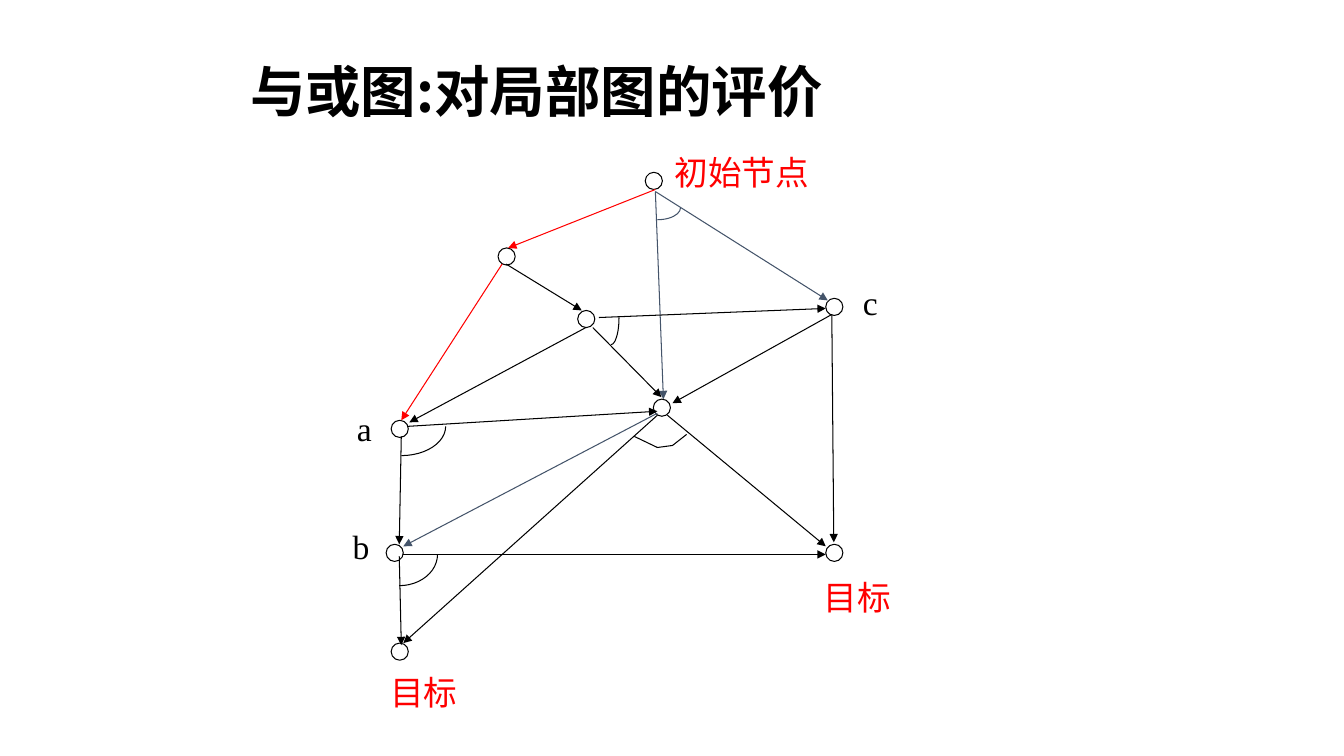
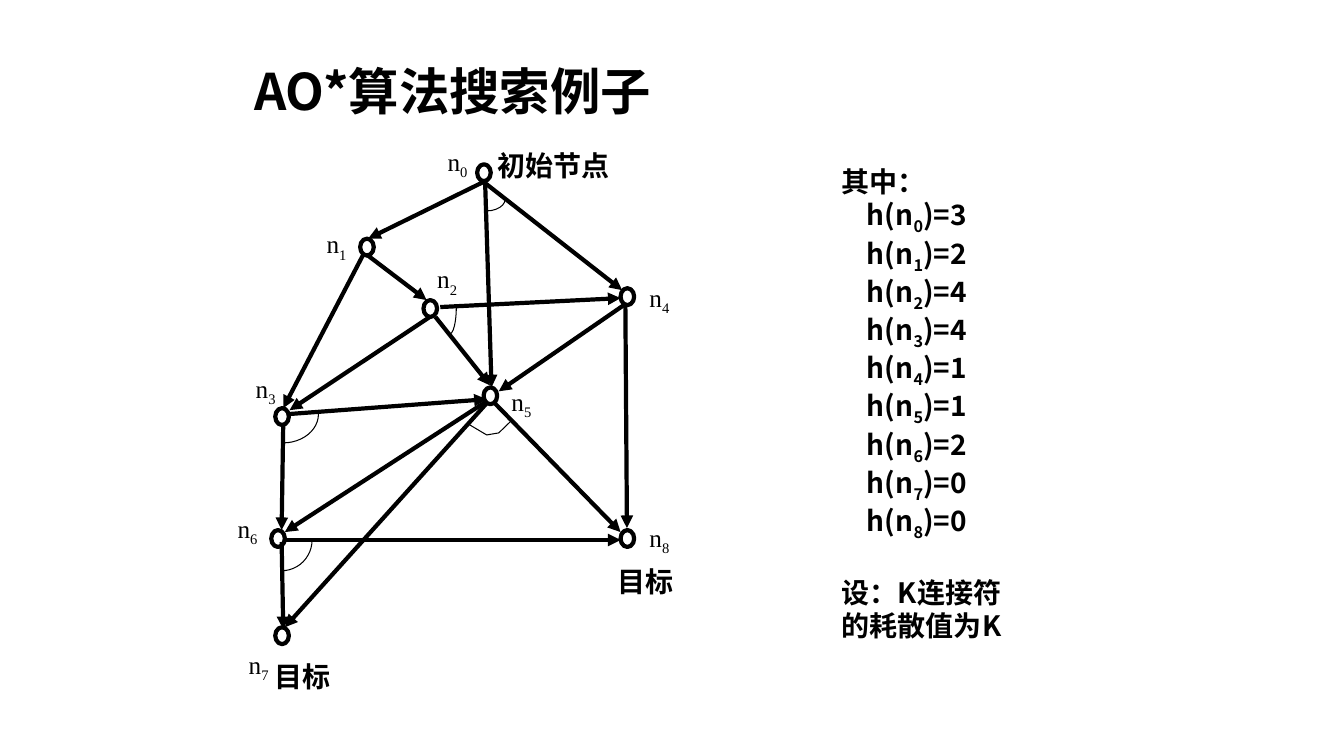
from dataclasses import dataclass

from lxml import etree
from pptx import Presentation
from pptx.dml.color import RGBColor
from pptx.enum.shapes import MSO_CONNECTOR, MSO_SHAPE
from pptx.enum.text import MSO_ANCHOR, MSO_AUTO_SIZE, PP_ALIGN
from pptx.oxml.ns import qn
from pptx.util import Inches, Pt

LEFT, CENTER = PP_ALIGN.LEFT, PP_ALIGN.CENTER
TOP, MIDDLE = MSO_ANCHOR.TOP, MSO_ANCHOR.MIDDLE
OVAL, ARC = MSO_SHAPE.OVAL, MSO_SHAPE.ARC
STRAIGHT = MSO_CONNECTOR.STRAIGHT
NO_FIT = MSO_AUTO_SIZE.NONE


@dataclass(frozen=True)
class Theme:
    black = RGBColor(0, 0, 0)
    red = RGBColor(0xFF, 0, 0)
    slate = RGBColor(0x44, 0x54, 0x6A)
    sans = "Noto Sans CJK SC"
    serif = "Times New Roman"
    thin = 0.75
    thick = 3


T = Theme()


@dataclass(frozen=True)
class Style:
    size: float
    face: str = T.serif
    color: RGBColor = T.black
    bold: bool = False
    align: PP_ALIGN = CENTER
    anchor: MSO_ANCHOR = MIDDLE
    wrap: bool = False
    width: float = 0  # zero: one em for each character


HEAD = Style(39.6, T.sans, bold=True, align=LEFT, wrap=True)
HEAD_SMALL = Style(36, T.sans, bold=True, align=LEFT, wrap=True)
NOTE = Style(20, T.sans, bold=True, align=LEFT, anchor=TOP, wrap=True)
RED_TAG = Style(24, color=T.red)
LETTER = Style(24, align=LEFT, anchor=TOP, wrap=True, width=0.58)
BOLD_TAG = Style(20, bold=True)
NAME = Style(18, width=0.41)

# The graph is laid out on a field of this size and scaled to its box.
FIELD = (4.53, 4.84)
DOT = 0.17
NODES = [(2.57, 0), (1.11, 0.75), (1.9, 1.37), (0.05, 2.46), (4.36, 1.25),
         (2.65, 2.25), (0, 3.69), (0.05, 4.67), (4.36, 3.69)]
EDGES = {
    "01": (2.67, 0.17, 1.21, 0.75),
    "05": (2.67, 0.19, 2.75, 2.25),
    "04": (2.67, 0.19, 4.38, 1.27),
    "13": (1.15, 0.91, 0.15, 2.46),
    "12": (1.19, 0.91, 1.94, 1.37),
    "25": (2.05, 1.54, 2.73, 2.23),
    "24": (2.11, 1.44, 4.36, 1.35),
    "35": (0.21, 2.52, 2.69, 2.37),
    "36": (0.15, 2.62, 0.13, 3.69),
    "45": (4.42, 1.41, 2.84, 2.29),
    "48": (4.42, 1.41, 4.44, 3.67),
    "56": (2.69, 2.39, 0.17, 3.71),
    "57": (2.69, 2.41, 0.17, 4.67),
    "58": (2.79, 2.41, 4.36, 3.71),
    "68": (0.17, 3.79, 4.36, 3.79),
    "67": (0.13, 3.81, 0.15, 4.69),
    "23": (1.98, 1.54, 0.23, 2.48),
}
# Centre and radii of the quarter arc that joins the edges of a node.
ARCS = {
    "0": (2.69, 0.35, 0.23, 0.12),
    "2": (2.23, 1.44, 0.08, 0.27),
    "3": (0.15, 2.52, 0.44, 0.29),
    "6": (0.13, 3.79, 0.38, 0.31),
}
BEND = [(2.46, 2.62), (2.69, 2.73), (2.84, 2.71), (2.98, 2.6)]


def assign(obj, **values):
    for key, value in values.items():
        setattr(obj, key, value)


def write(para, text, style):
    """Fill a paragraph; the character after each underscore is lowered."""
    para.alignment = style.align
    first, *rest = text.split("_")
    parts = [(first, False)]
    for part in rest:
        parts += [(part[0], True), (part[1:], False)]
    for part, low in parts:
        if not part:
            continue
        run = para.add_run()
        run.text = part
        assign(run.font, name=style.face, size=Pt(style.size), bold=style.bold)
        run.font.color.rgb = style.color
        props = run.font._element
        etree.SubElement(props, qn("a:ea")).set("typeface", T.sans)
        if low:
            props.set("baseline", "-25000")


def set_frame(shape, style):
    frame = shape.text_frame
    assign(frame, word_wrap=style.wrap, vertical_anchor=style.anchor,
           auto_size=NO_FIT)
    return frame


def add_text(slide, box, lines, style):
    shape = slide.shapes.add_textbox(*map(Inches, box))
    frame = set_frame(shape, style)
    for i, line in enumerate(lines):
        para = frame.add_paragraph() if i else frame.paragraphs[0]
        write(para, line, style)
    return frame


def add_tag(slide, spot, text, style):
    width = style.width or len(text) * style.size / 72 + 0.2
    height = style.size * 1.2 / 72 + 0.1
    add_text(slide, (*spot, width, height), [text], style)


def add_slide(deck, title, box, style):
    slide = deck.slides.add_slide(deck.slide_layouts[5])
    head = slide.shapes.title
    left, top, width, height = map(Inches, box)
    assign(head, left=left, top=top, width=width, height=height)
    para = set_frame(head, style).paragraphs[0]
    para.line_spacing = 0.9
    write(para, title, style)
    return slide


def outline(shape, color, weight):
    shape.shadow.inherit = False
    shape.fill.background()
    shape.line.color.rgb = color
    shape.line.width = Pt(weight)


def add_arrow(slide, start, end, color, weight):
    line = slide.shapes.add_connector(
        STRAIGHT, *map(Inches, (*start, *end)))
    line.line.color.rgb = color
    line.line.width = Pt(weight)
    tail = etree.SubElement(line.line._get_or_add_ln(), qn("a:tailEnd"))
    tail.set("type", "triangle")
    etree.SubElement(line._element.spPr, qn("a:effectLst"))


def add_graph(slide, box, weight, tones, tags):
    """Draw the graph; tags are (text, node, dx, dy, style)."""
    left, top, width, height = box
    sx, sy = width / FIELD[0], height / FIELD[1]

    def place(x, y):
        return left + x * sx, top + y * sy

    def add_shape(kind, x, y, w, h):
        return slide.shapes.add_shape(
            kind, *map(Inches, (*place(x, y), w * sx, h * sy)))

    for node in NODES:
        outline(add_shape(OVAL, *node, DOT, DOT), T.black, weight)
    for key, (x1, y1, x2, y2) in EDGES.items():
        add_arrow(slide, place(x1, y1), place(x2, y2),
                  tones.get(key, T.black), weight)
    for key, (x, y, rx, ry) in ARCS.items():
        arc = add_shape(ARC, x - rx, y - ry, 2 * rx, 2 * ry)
        arc.adjustments[0], arc.adjustments[1] = 0, 54
        outline(arc, tones.get(key, T.black), T.thin)
    first, *rest = [tuple(map(Inches, place(*spot))) for spot in BEND]
    path = slide.shapes.build_freeform(*first)
    path.add_line_segments(rest, close=False)
    outline(path.convert_to_shape(), T.black, T.thin)
    for text, node, dx, dy, style in tags:
        x, y = place(*NODES[node])
        add_tag(slide, (x + dx, y + dy), text, style)


def add_costs(slide, box):
    costs = [3, 2, 4, 4, 1, 1, 2, 0, 0]
    rows = [f"h(n_{i})={cost}" for i, cost in enumerate(costs)]
    lines = ["其中：", *rows, "设：K连接符", "的耗散值为K"]
    paras = add_text(slide, box, lines, NOTE).paragraphs
    for para in paras[1:len(rows) + 1]:
        para._p.get_or_add_pPr().set("marL", str(Inches(0.25)))
    paras[-2].space_before = Pt(24)


def build_partial(deck):
    slide = add_slide(deck, "与或图:对局部图的评价",
                      (2.38, 0.56, 8.5, 0.75), HEAD)
    tones = {"01": T.red, "13": T.red, "05": T.slate, "04": T.slate,
             "56": T.slate, "0": T.slate}
    tags = [("目标", 7, -0.11, 0.24, RED_TAG),
            ("目标", 8, -0.12, 0.27, RED_TAG),
            ("初始节点", 0, 0.19, -0.25, RED_TAG),
            ("a", 3, -0.44, -0.17, LETTER),
            ("b", 6, -0.43, -0.23, LETTER),
            ("c", 4, 0.27, -0.21, LETTER)]
    add_graph(slide, (3.83, 1.71, *FIELD), T.thin, tones, tags)


def build_search(deck):
    slide = add_slide(deck, "AO*算法搜索例子",
                      (2.42, 0.48, 8.5, 0.9), HEAD_SMALL)
    shifts = [(-0.4, -0.21), (-0.44, -0.13), (0.03, -0.39), (-0.3, -0.38),
              (0.18, -0.09), (0.17, -0.04), (-0.44, -0.2), (-0.37, 0.19),
              (0.18, -0.11)]
    tags = [("目标", 7, -0.11, 0.27, BOLD_TAG),
            ("目标", 8, -0.13, 0.29, BOLD_TAG),
            ("初始节点", 0, 0.1, -0.21, BOLD_TAG)]
    tags += [(f"n_{i}", i, *shift, NAME) for i, shift in enumerate(shifts)]
    add_costs(slide, (8.25, 1.58, 2.82, 4.93))
    add_graph(slide, (2.69, 1.63, 3.6, 4.76), T.thick, {}, tags)


def main():
    deck = Presentation()
    assign(deck, slide_width=Inches(13.33), slide_height=Inches(7.5))
    build_partial(deck)
    build_search(deck)
    deck.save("out.pptx")


if __name__ == "__main__":
    main()
